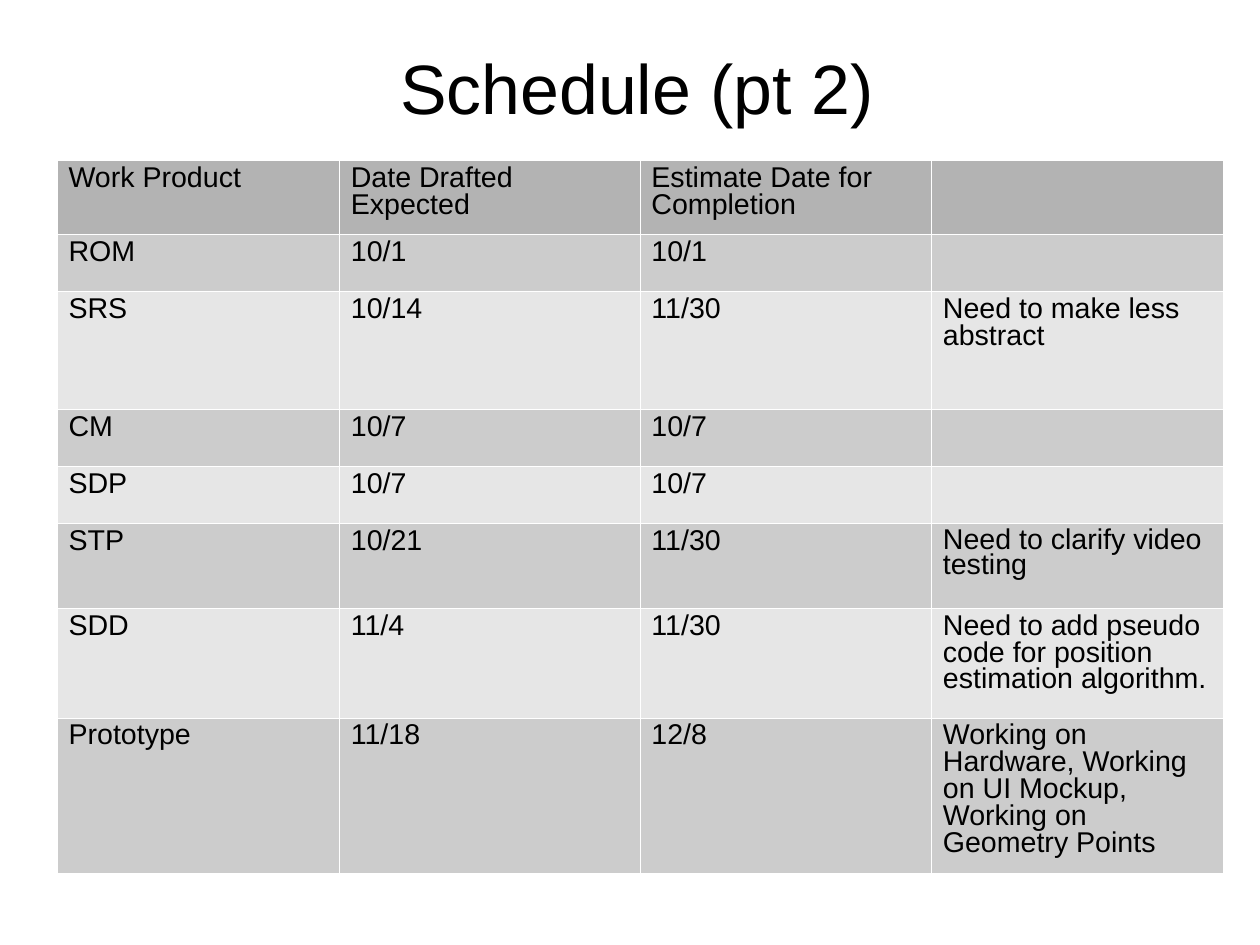
from dataclasses import dataclass

from lxml.etree import SubElement
from pptx import Presentation
from pptx.dml.color import RGBColor
from pptx.enum.text import MSO_ANCHOR, MSO_AUTO_SIZE, PP_ALIGN
from pptx.oxml.ns import qn
from pptx.slide import Slide
from pptx.table import _Cell as Cell
from pptx.util import Cm, Inches, Pt

BLACK = RGBColor(0x00, 0x00, 0x00)
HEADER_GRAY = RGBColor(0xB3, 0xB3, 0xB3)
ODD_GRAY = RGBColor(0xCC, 0xCC, 0xCC)
EVEN_GRAY = RGBColor(0xE6, 0xE6, 0xE6)
BORDER_WHITE = RGBColor(0xFF, 0xFF, 0xFF)
FONT = "Arial"
COLUMN_WIDTHS = (2.47, 2.63, 2.55, 2.55)


@dataclass
class ScheduleRow:
    height: float
    product: str
    drafted: str
    completion: str
    note: str = ""
    note_spacing: float = 0.84


ROWS = (
    ScheduleRow(0.65, "Work Product", "Date Drafted Expected", "Estimate Date for Completion"),
    ScheduleRow(0.5, "ROM", "10/1", "10/1"),
    ScheduleRow(1.03, "SRS", "10/14", "11/30", "Need to make less abstract"),
    ScheduleRow(0.5, "CM", "10/7", "10/7"),
    ScheduleRow(0.5, "SDP", "10/7", "10/7"),
    ScheduleRow(0.74, "STP", "10/21", "11/30", "Need to clarify video testing", 0.79),
    ScheduleRow(0.96, "SDD", "11/4", "11/30",
                "Need to add pseudo code for position estimation algorithm."),
    ScheduleRow(1.36, "Prototype", "11/18", "12/8",
                "Working on Hardware, Working on UI Mockup, Working on Geometry Points"),
)


def add_title(s: Slide, text: str) -> None:
    title = s.shapes.title
    title.left, title.top = Inches(3.3), Inches(0.4)
    title.width, title.height = Inches(4.55), Inches(0.83)
    tf = title.text_frame
    tf.text = text
    tf.word_wrap = True
    tf.auto_size = MSO_AUTO_SIZE.NONE
    tf.vertical_anchor = MSO_ANCHOR.TOP
    p = tf.paragraphs[0]
    p.alignment = PP_ALIGN.CENTER
    p.line_spacing = 0.94
    p.font.name, p.font.size = FONT, Pt(44)
    p.font.color.rgb = BLACK


def add_borders(cell: Cell) -> None:
    """Draw hairlines on all four sides; call before filling the cell."""
    tc_pr = cell._tc.get_or_add_tcPr()
    for side in ("a:lnL", "a:lnR", "a:lnT", "a:lnB"):
        ln = SubElement(tc_pr, qn(side), w=str(Pt(0.06)))
        fill = SubElement(ln, qn("a:solidFill"))
        SubElement(fill, qn("a:srgbClr"), val=str(BORDER_WHITE))


def format_cell(cell: Cell, text: str, fill: RGBColor, spacing: float) -> None:
    add_borders(cell)
    cell.fill.solid()
    cell.fill.fore_color.rgb = fill
    cell.text = text
    p = cell.text_frame.paragraphs[0]
    p.line_spacing = spacing
    p.font.name, p.font.size = FONT, Pt(18)
    p.font.color.rgb = BLACK


def add_schedule(s: Slide) -> None:
    table = s.shapes.add_table(
        len(ROWS), len(COLUMN_WIDTHS), Inches(0.5), Inches(1.4),
        Inches(sum(COLUMN_WIDTHS)), Inches(sum(row.height for row in ROWS))).table
    table.first_row = table.horz_banding = False
    for column, width in zip(table.columns, COLUMN_WIDTHS):
        column.width = Inches(width)
    for i, row in enumerate(ROWS):
        table.rows[i].height = Inches(row.height)
        fill = HEADER_GRAY if i == 0 else ODD_GRAY if i % 2 else EVEN_GRAY
        for j, text in enumerate((row.product, row.drafted, row.completion)):
            format_cell(table.cell(i, j), text, fill, 0.84)
        format_cell(table.cell(i, 3), row.note, fill, row.note_spacing)


def main() -> None:
    prs = Presentation()
    prs.slide_width, prs.slide_height = Cm(28), Cm(21)
    s = prs.slides.add_slide(prs.slide_layouts[5])
    add_schedule(s)
    add_title(s, "Schedule (pt 2)")
    prs.save("out.pptx")


if __name__ == "__main__":
    main()
